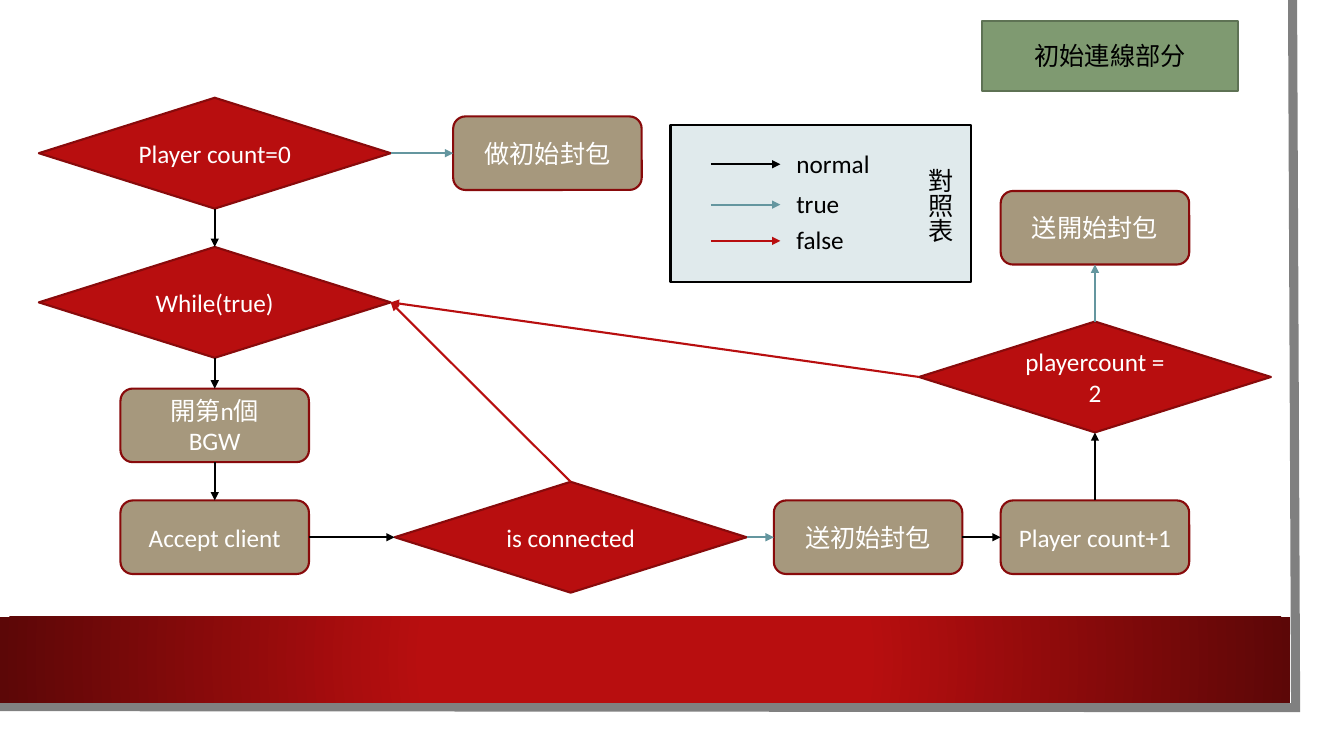
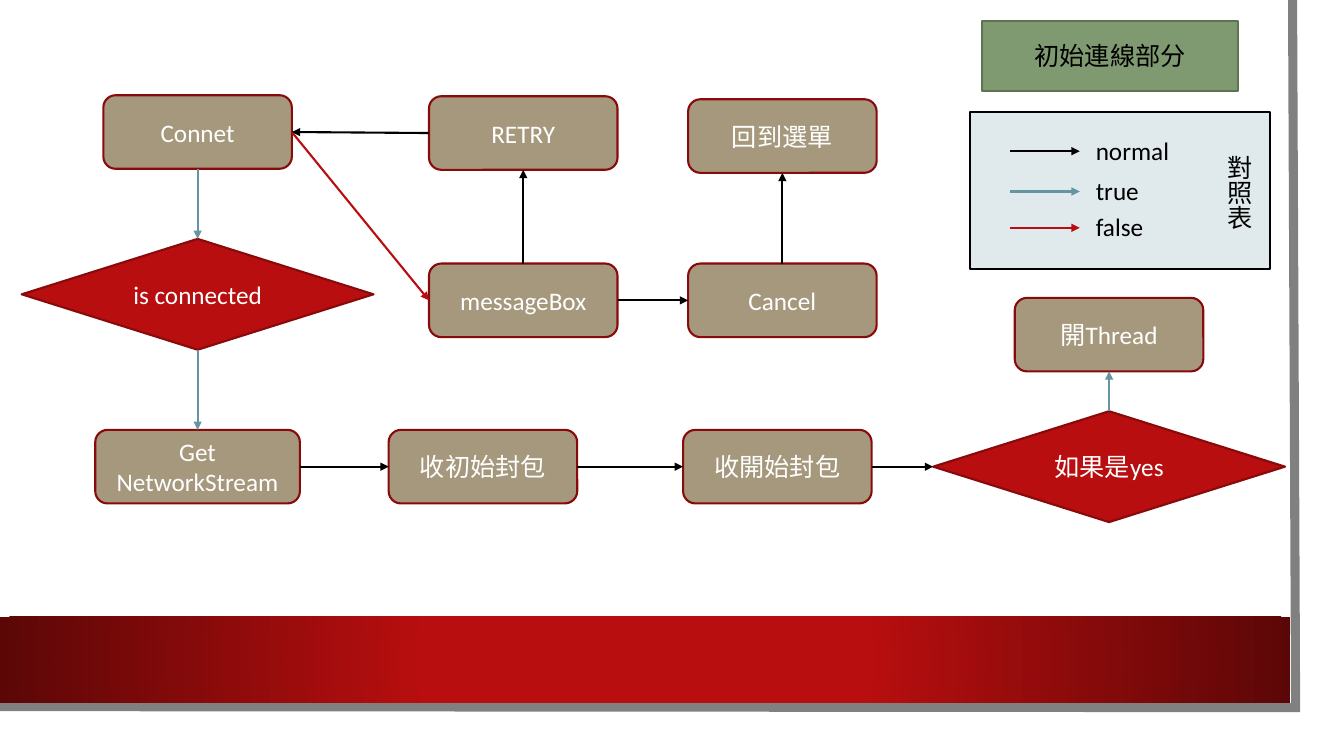
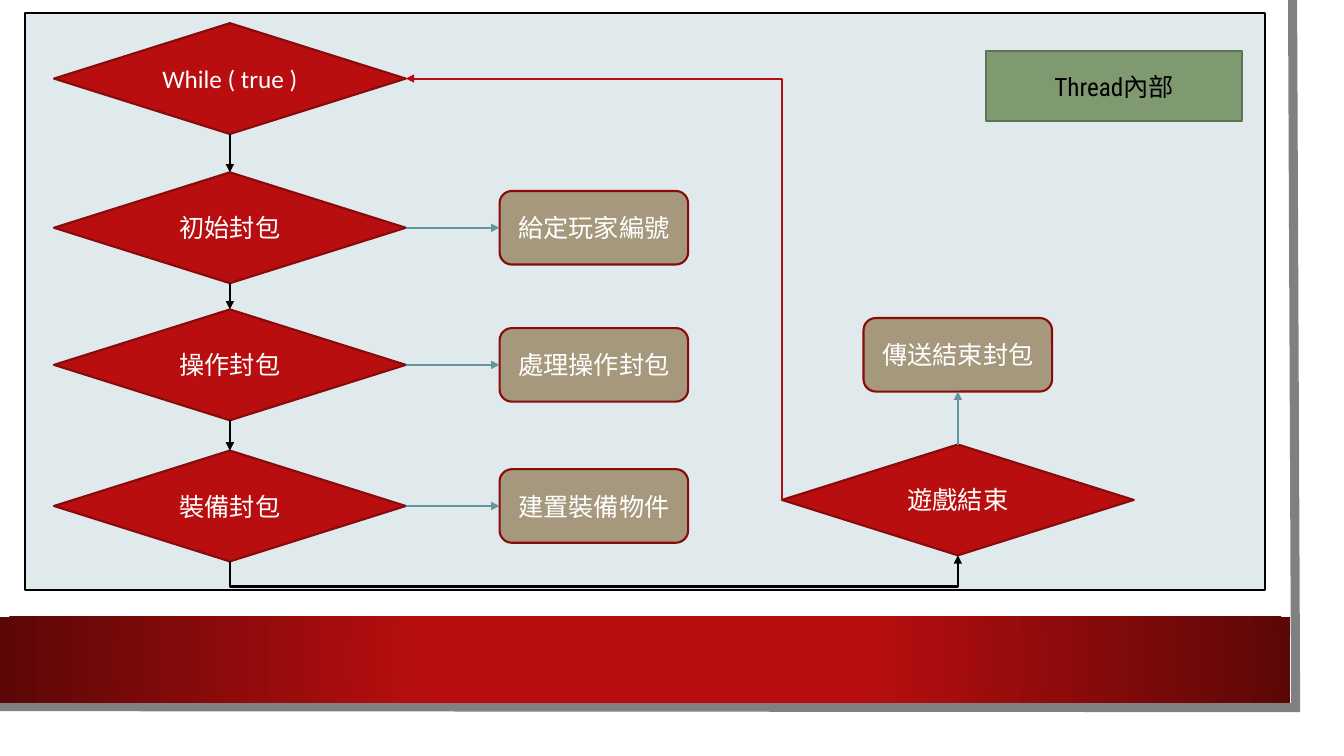
from lxml import etree
from pptx import Presentation
from pptx.dml.color import RGBColor
from pptx.enum.shapes import MSO_CONNECTOR, MSO_SHAPE
from pptx.enum.text import MSO_ANCHOR, PP_ALIGN
from pptx.oxml.ns import qn
from pptx.util import Pt

PX = 9144  # one hundredth of an inch
TOP, LEFT, BOTTOM, RIGHT = range(4)
STRAIGHT, ELBOW = MSO_CONNECTOR.STRAIGHT, MSO_CONNECTOR.ELBOW
RECTANGLE = MSO_SHAPE.RECTANGLE
CENTRE, START = PP_ALIGN.CENTER, PP_ALIGN.LEFT

BLACK = RGBColor(0x00, 0x00, 0x00)
WHITE = RGBColor(0xFF, 0xFF, 0xFF)
GREY = RGBColor(0x80, 0x80, 0x80)
RED = RGBColor(0xB8, 0x0E, 0x0F)
DARK_RED = RGBColor(0x88, 0x0A, 0x0B)
DEEP_RED = RGBColor(0x5C, 0x07, 0x07)
TAN = RGBColor(0xA6, 0x98, 0x7D)
TEAL = RGBColor(0x64, 0x96, 0x9F)
PALE_BLUE = RGBColor(0xE0, 0xEA, 0xEC)
GREEN = RGBColor(0x7F, 0x9A, 0x71)
DARK_GREEN = RGBColor(0x5E, 0x72, 0x54)

# kind: preset, width, height, fill
NODE_KINDS = {
    "test": (MSO_SHAPE.FLOWCHART_DECISION, 349, 110, RED),
    "step": (MSO_SHAPE.ROUNDED_RECTANGLE, 187, 73, TAN),
    "wide": (MSO_SHAPE.ROUNDED_RECTANGLE, 203, 73, TAN),
}
LEGEND_SIZE = (298, 156)
LEGEND_ROWS = [("normal", BLACK, 39), ("true", TEAL, 79), ("false", RED, 115)]

# nodes: key -> kind, centre x, centre y, text
# links: start node, side, end node, side, colour
SLIDES = [
    {
        "title": ("初始連線部分", 974, 21),
        "legend": (665, 124),
        "nodes": {
            "first": ("test", 213, 152, "Player count=0"),
            "make": ("step", 543, 152, "做初始封包"),
            "while": ("test", 213, 300, "While(true)"),
            "worker": ("step", 213, 422, "開第n個\nBGW"),
            "accept": ("step", 213, 533, "Accept client"),
            "connected": ("test", 566, 533, "is connected"),
            "send": ("step", 861, 533, "送初始封包"),
            "add": ("step", 1086, 533, "Player count+1"),
            "both": ("test", 1086, 374, "playercount = 2"),
            "start": ("step", 1086, 226, "送開始封包"),
        },
        "links": [
            ("first", BOTTOM, "while", TOP, BLACK),
            ("while", BOTTOM, "worker", TOP, BLACK),
            ("worker", BOTTOM, "accept", TOP, BLACK),
            ("accept", RIGHT, "connected", LEFT, BLACK),
            ("connected", RIGHT, "send", LEFT, TEAL),
            ("send", RIGHT, "add", LEFT, BLACK),
            ("add", TOP, "both", BOTTOM, BLACK),
            ("both", TOP, "start", BOTTOM, TEAL),
            ("first", RIGHT, "make", LEFT, TEAL),
            ("connected", TOP, "while", RIGHT, RED),
            ("both", LEFT, "while", RIGHT, RED),
        ],
    },
    {
        "title": ("初始連線部分", 974, 21),
        "legend": (962, 111),
        "nodes": {
            "connect": ("step", 196, 131, "Connet"),
            "retry": ("step", 519, 132, "RETRY"),
            "menu": ("step", 776, 135, "回到選單"),
            "connected": ("test", 196, 292, "is connected"),
            "message": ("step", 519, 298, "messageBox"),
            "cancel": ("step", 776, 298, "Cancel"),
            "stream": ("wide", 196, 463, "Get\nNetworkStream"),
            "initial": ("step", 479, 463, "收初始封包"),
            "start": ("step", 771, 463, "收開始封包"),
            "yes": ("test", 1100, 463, "如果是yes"),
            "thread": ("step", 1100, 332, "開Thread"),
        },
        "links": [
            ("connect", BOTTOM, "connected", TOP, TEAL),
            ("connected", BOTTOM, "stream", TOP, TEAL),
            ("stream", RIGHT, "initial", LEFT, BLACK),
            ("initial", RIGHT, "start", LEFT, BLACK),
            ("start", RIGHT, "yes", LEFT, BLACK),
            ("yes", TOP, "thread", BOTTOM, TEAL),
            ("connect", RIGHT, "message", LEFT, RED),
            ("message", TOP, "retry", BOTTOM, BLACK),
            ("retry", LEFT, "connect", RIGHT, BLACK),
            ("message", RIGHT, "cancel", LEFT, BLACK),
            ("cancel", TOP, "menu", BOTTOM, BLACK),
        ],
    },
    {
        "title": ("Thread內部", 978, 51),
        "frame": (25, 13, 1230, 572),
        "nodes": {
            "while": ("test", 228, 78, "While ( true )"),
            "initial": ("test", 228, 226, "初始封包"),
            "number": ("step", 589, 226, "給定玩家編號"),
            "action": ("test", 228, 362, "操作封包"),
            "handle": ("step", 589, 362, "處理操作封包"),
            "gear": ("test", 228, 502, "裝備封包"),
            "build": ("step", 589, 502, "建置裝備物件"),
            "over": ("test", 950, 496, "遊戲結束"),
            "finish": ("step", 950, 352, "傳送結束封包"),
        },
        "links": [
            ("while", BOTTOM, "initial", TOP, BLACK),
            ("initial", BOTTOM, "action", TOP, BLACK),
            ("action", BOTTOM, "gear", TOP, BLACK),
            ("initial", RIGHT, "number", LEFT, TEAL),
            ("action", RIGHT, "handle", LEFT, TEAL),
            ("gear", RIGHT, "build", LEFT, TEAL),
            ("over", TOP, "finish", BOTTOM, TEAL),
            ("gear", BOTTOM, "over", BOTTOM, BLACK),
            ("over", LEFT, "while", RIGHT, RED),
        ],
    },
]


def dress(shape, fill=None, line=None, text="", color=BLACK, face="Calibri", align=CENTRE):
    """Give a shape its fill and outline, and its text when there is any."""
    if fill is not None:
        shape.shadow.inherit = False
        shape.fill.solid()
        shape.fill.fore_color.rgb = fill
        shape.line.color.rgb = line
        shape.line.width = Pt(1.5)
    if text:
        frame = shape.text_frame
        frame.text = text
        frame.word_wrap = True
        for paragraph in frame.paragraphs:
            paragraph.alignment = align
            font = paragraph.runs[0].font
            for attribute, value in {"name": face, "size": Pt(18), "bold": False}.items():
                setattr(font, attribute, value)
            font.color.rgb = color


def add_arrow(slide, color, route=STRAIGHT, ends=(0, 0, 0, 0)):
    arrow = slide.shapes.add_connector(route, *[end * PX for end in ends])
    arrow.line.color.rgb = color
    arrow.line.width = Pt(1.5)
    properties = arrow.element.spPr
    etree.SubElement(properties.find(qn("a:ln")), qn("a:tailEnd"), type="triangle")
    etree.SubElement(properties, qn("a:effectLst"))
    return arrow


deck = Presentation()
deck.slide_width, deck.slide_height = 1333 * PX, 750 * PX
layout = deck.slide_layouts[5]
slides = [deck.slides.add_slide(layout) for content in SLIDES]

# Shared backdrop: drawn once, then moved into the layout
shapes = slides[0].shapes
outline = shapes.build_freeform(1282, 0, scale=PX)
outline.add_line_segments([(1285, 702), (-3, 701)], close=False)
edge = outline.convert_to_shape()
edge.shadow.inherit = False
edge.fill.background()
edge.line.color.rgb = GREY
edge.line.width = Pt(6.5)
etree.SubElement(edge.element.spPr.find(qn("a:ln")), qn("a:miter"), lim="800000")

band = shapes.add_shape(RECTANGLE, 0, 612 * PX, 1280 * PX, 85 * PX)
band.shadow.inherit = False
band.line.fill.background()
band.fill.gradient()
for stop, color, position in zip(band.fill.gradient_stops, (RED, DEEP_RED), (0.34, 1)):
    stop.color.rgb = color
    stop.position = position
gradient = band.element.spPr.find(qn("a:gradFill"))
gradient.remove(gradient.find(qn("a:lin")))
radial = etree.SubElement(gradient, qn("a:path"), {"path": "circle"})
etree.SubElement(radial, qn("a:fillToRect"), l="50000", t="50000", r="50000", b="50000")

for order, part in enumerate((edge, band)):
    part.element.nvSpPr.cNvPr.set("id", str(20 + order))
    layout.shapes.element.insert(2 + order, part.element)

for slide, content in zip(slides, SLIDES):
    shapes = slide.shapes

    if "frame" in content:
        frame = shapes.add_shape(RECTANGLE, *[length * PX for length in content["frame"]])
        dress(frame, PALE_BLUE, BLACK)

    heading, x, y = content["title"]
    title = shapes.title
    title.left, title.top, title.width, title.height = x * PX, y * PX, 254 * PX, 69 * PX
    dress(title, GREEN, DARK_GREEN, heading, face="Roboto Condensed")
    title.text_frame.vertical_anchor = MSO_ANCHOR.MIDDLE
    shapes.element.append(title.element)  # in front of the frame

    nodes = {}
    for key, (kind, x, y, text) in content["nodes"].items():
        preset, width, height, fill = NODE_KINDS[kind]
        node = shapes.add_shape(preset, x * PX - width * PX // 2, y * PX - height * PX // 2,
                                width * PX, height * PX)
        dress(node, fill, DARK_RED, text, WHITE)
        node.text_frame.vertical_anchor = MSO_ANCHOR.MIDDLE
        nodes[key] = node

    for start, start_side, end, end_side, color in content["links"]:
        loops_below = start_side == end_side == BOTTOM
        turns_back = (start, end) == ("over", "while")
        arrow = add_arrow(slide, color, ELBOW if loops_below or turns_back else STRAIGHT)
        arrow.begin_connect(nodes[start], start_side)
        arrow.end_connect(nodes[end], end_side)
        bend = 0
        if loops_below:
            # A U-shaped elbow is a quarter-turned box, dipping 25 px below its start
            middle_x, middle_y = arrow.left + arrow.width // 2, arrow.top + arrow.height // 2
            across, down = arrow.height, arrow.width
            arrow.left, arrow.top = middle_x - across // 2, middle_y - down // 2
            arrow.width, arrow.height = across, down
            for attribute, value in {"rot": "5400000", "flipH": "1", "flipV": "1"}.items():
                arrow.element.spPr.xfrm.set(attribute, value)
            bend = -25 * PX * 100000 // across
        if loops_below or turns_back:
            adjustments = arrow.element.spPr.find(qn("a:prstGeom")).find(qn("a:avLst"))
            etree.SubElement(adjustments, qn("a:gd"), name="adj1", fmla=f"val {bend}")

    if "legend" in content:
        x, y = content["legend"]
        panel = shapes.add_shape(RECTANGLE, x * PX, y * PX, *[side * PX for side in LEGEND_SIZE])
        dress(panel, PALE_BLUE, BLACK)
        caption = shapes.add_textbox((x + 237) * PX, (y + 33) * PX, 50 * PX, 103 * PX)
        dress(caption, text="對照表", align=START)
        caption.text_frame._txBody.bodyPr.set("vert", "eaVert")
        for meaning, color, drop in LEGEND_ROWS:
            add_arrow(slide, color, ends=(x + 40, y + drop, x + 109, y + drop))
            label = shapes.add_textbox((x + 115) * PX, (y + drop - 21) * PX, 153 * PX, 40 * PX)
            dress(label, text=meaning, align=START)

deck.save("out.pptx")
